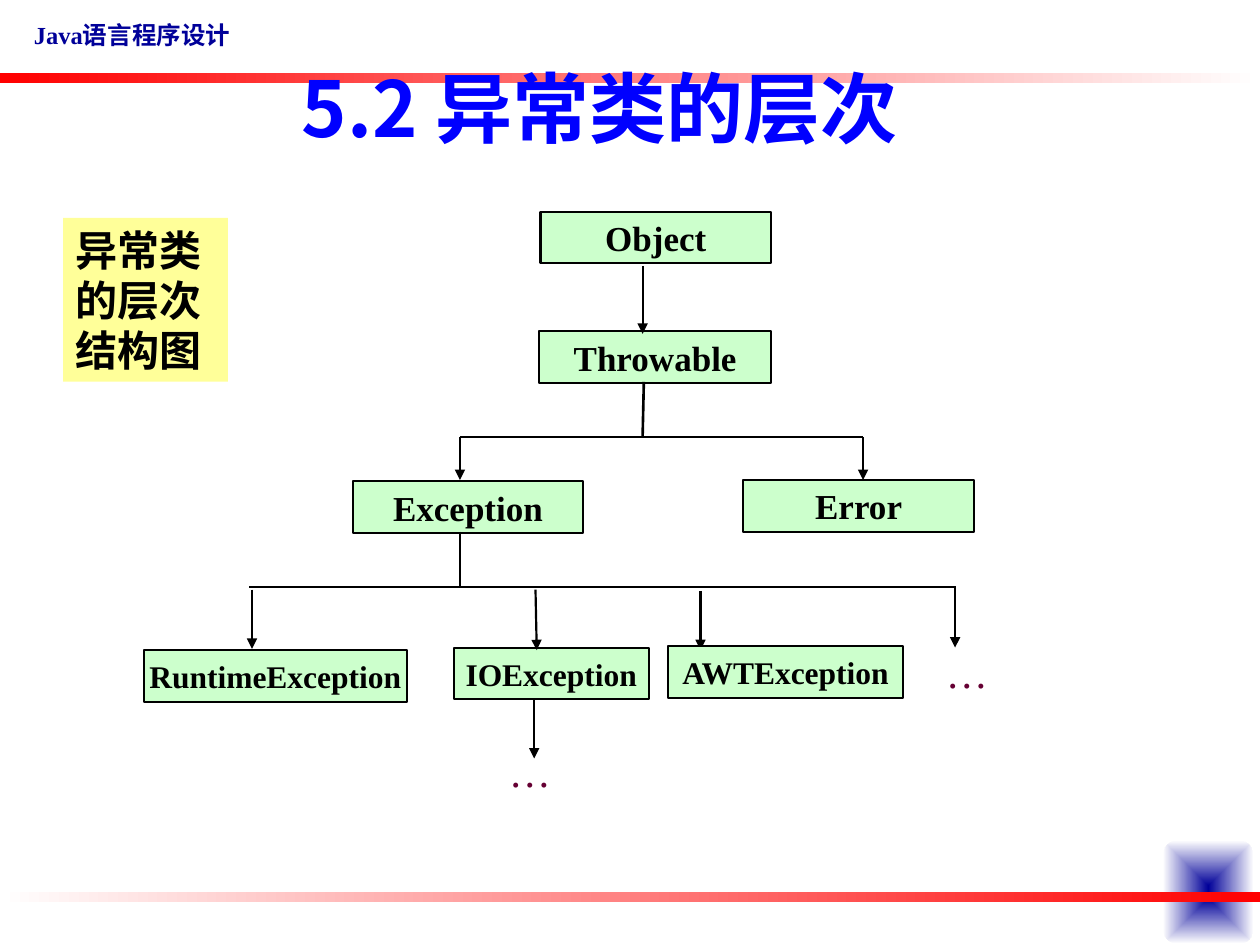
from dataclasses import dataclass

from lxml import etree
from pptx import Presentation
from pptx.dml.color import RGBColor
from pptx.enum.shapes import MSO_CONNECTOR, MSO_SHAPE
from pptx.enum.text import MSO_ANCHOR, MSO_AUTO_SIZE, PP_ALIGN
from pptx.oxml.ns import qn
from pptx.util import Inches, Pt


@dataclass(frozen=True)
class TextStyle:
    size: int
    color: str
    bold: bool = True
    face: str = "Times New Roman"
    east_face: str = ""


class Theme:
    cjk = "Noto Sans CJK SC"
    navy, red, white, black = "000099", "FF0000", "FFFFFF", "000000"
    node_fill, note_fill = "CCFFCC", "FFFF99"
    header = TextStyle(14, navy, east_face=cjk)
    title = TextStyle(44, "0000FF", face=cjk, east_face=cjk)
    note = TextStyle(24, black, east_face=cjk)
    node = TextStyle(20, black)
    leaf = TextStyle(18, black)
    more = TextStyle(24, "660033", bold=False)
    thin, normal, thick = 0.75, 1.25, 1.5


class SlideBuilder:
    def __init__(self, slide, theme):
        self.shapes = slide.shapes
        self.theme = theme

    def fill_text(self, box, text, style, align=PP_ALIGN.LEFT, **frame_format):
        frame = box.text_frame
        for name, value in frame_format.items():
            setattr(frame, name, value)
        para = frame.paragraphs[0]
        para.alignment = align
        span = para.add_run()
        span.text = text
        font_format = {"size": Pt(style.size), "bold": style.bold, "name": style.face}
        for name, value in font_format.items():
            setattr(span.font, name, value)
        span.font.color.rgb = RGBColor.from_string(style.color)
        if style.east_face:
            properties = span._r.get_or_add_rPr()
            etree.SubElement(properties, qn("a:ea"), typeface=style.east_face)

    def text(self, place, text, style, **text_format):
        box = self.shapes.add_textbox(*map(Inches, place))
        self.fill_text(box, text, style, **text_format)

    def shape(self, place, kind=MSO_SHAPE.RECTANGLE, fill=None, outline=None):
        box = self.shapes.add_shape(kind, *map(Inches, place))
        box.shadow.inherit = False
        if fill:
            box.fill.solid()
            box.fill.fore_color.rgb = RGBColor.from_string(fill)
        if outline:
            box.line.color.rgb = RGBColor.from_string(outline)
            box.line.width = Pt(self.theme.normal)
        else:
            box.line.fill.background()
        return box

    def gradient(self, place, colors, kind=MSO_SHAPE.RECTANGLE, from_centre=False):
        box = self.shape(place, kind)
        box.fill.gradient()
        box.fill.gradient_angle = 0
        for stop, position, color in zip(box.fill.gradient_stops, (0, 1), colors):
            stop.position = position
            stop.color.rgb = RGBColor.from_string(color)
        if from_centre:
            linear = box._element.spPr.find(qn("a:gradFill")).find(qn("a:lin"))
            rings = etree.Element(qn("a:path"), {"path": "rect"})
            sides = dict.fromkeys("ltrb", "50000")
            etree.SubElement(rings, qn("a:fillToRect"), sides)
            linear.getparent().replace(linear, rings)

    def node(self, left, top, width, text, style):
        box = self.shape((left, top, width, 0.41), fill=self.theme.node_fill,
                         outline=self.theme.black)
        self.fill_text(box, text, style, PP_ALIGN.CENTER, word_wrap=False,
                       vertical_anchor=MSO_ANCHOR.MIDDLE)

    def note(self, place, text):
        box = self.shape(place, fill=self.theme.note_fill)
        self.fill_text(box, text, self.theme.note, word_wrap=True,
                       vertical_anchor=MSO_ANCHOR.TOP,
                       auto_size=MSO_AUTO_SIZE.SHAPE_TO_FIT_TEXT)

    def line(self, start, end, width, arrow=False):
        link = self.shapes.add_connector(
            MSO_CONNECTOR.STRAIGHT, *map(Inches, (*start, *end)))
        link.line.color.rgb = RGBColor.from_string(self.theme.black)
        link.line.width = Pt(width)
        properties = link._element.spPr
        if arrow:
            etree.SubElement(properties.find(qn("a:ln")), qn("a:tailEnd"), type="triangle")
        etree.SubElement(properties, qn("a:effectLst"))


def main():
    deck = Presentation()
    deck.slide_width, deck.slide_height = Inches(10), Inches(7.5)
    theme = Theme()
    page = SlideBuilder(deck.slides.add_slide(deck.slide_layouts[6]), theme)

    # Corner ornament, header and gradient bars
    page.gradient((9.23, 6.67, 0.72, 0.82), (theme.navy, theme.white),
                  MSO_SHAPE.ROUNDED_RECTANGLE, from_centre=True)
    page.text((0.17, 0.11, 1.85, 0.34), "Java语言程序设计", theme.header, word_wrap=True)
    page.gradient((0, 0.58, 10, 0.08), (theme.red, theme.white))
    page.gradient((0, 7.08, 10, 0.08), (theme.white, theme.red))

    # Title
    page.text((0.51, 0.22, 8.5, 1.25), "5.2 异常类的层次", theme.title,
              align=PP_ALIGN.CENTER, word_wrap=True,
              vertical_anchor=MSO_ANCHOR.MIDDLE)

    # Arrow that ends behind its box
    page.line((5.56, 4.69), (5.56, 5.16), theme.normal, arrow=True)

    # Class boxes
    for left, top, width, name, style in (
        (4.29, 1.68, 1.83, "Object", theme.node),
        (4.28, 2.63, 1.84, "Throwable", theme.node),
        (5.9, 3.81, 1.83, "Error", theme.node),
        (2.8, 3.82, 1.83, "Exception", theme.node),
        (3.6, 5.14, 1.55, "IOException", theme.leaf),
        (1.14, 5.16, 2.09, "RuntimeException", theme.leaf),
        (5.3, 5.13, 1.87, "AWTException", theme.leaf),
    ):
        page.node(left, top, width, name, style)

    # Branch lines
    for start, end, width in (
        ((5.11, 3.03), (5.1, 3.47), theme.thick),
        ((3.65, 3.47), (6.85, 3.47), theme.thick),
        ((3.65, 4.22), (3.65, 4.66), theme.normal),
        ((1.98, 4.66), (7.59, 4.66), theme.thin),
    ):
        page.line(start, end, width)

    # Arrows to subclasses
    for start, end, width in (
        ((5.1, 2.11), (5.1, 2.65), theme.normal),
        ((3.65, 3.47), (3.65, 3.81), theme.thick),
        ((6.85, 3.47), (6.85, 3.81), theme.normal),
        ((2, 4.68), (2, 5.15), theme.normal),
        ((4.25, 4.68), (4.26, 5.16), theme.normal),
        ((7.58, 4.67), (7.58, 5.14), theme.normal),
        ((4.24, 5.55), (4.24, 6.02), theme.normal),
    ):
        page.line(start, end, width, arrow=True)

    # Further subclasses
    for left, top in ((3.94, 5.87), (7.41, 5.08)):
        page.text((left, top, 0.53, 0.5), "…", theme.more, word_wrap=False)

    # Side note
    page.note((0.5, 1.73, 1.31, 1.3), "异常类的层次结构图")

    deck.save("out.pptx")


if __name__ == "__main__":
    main()
